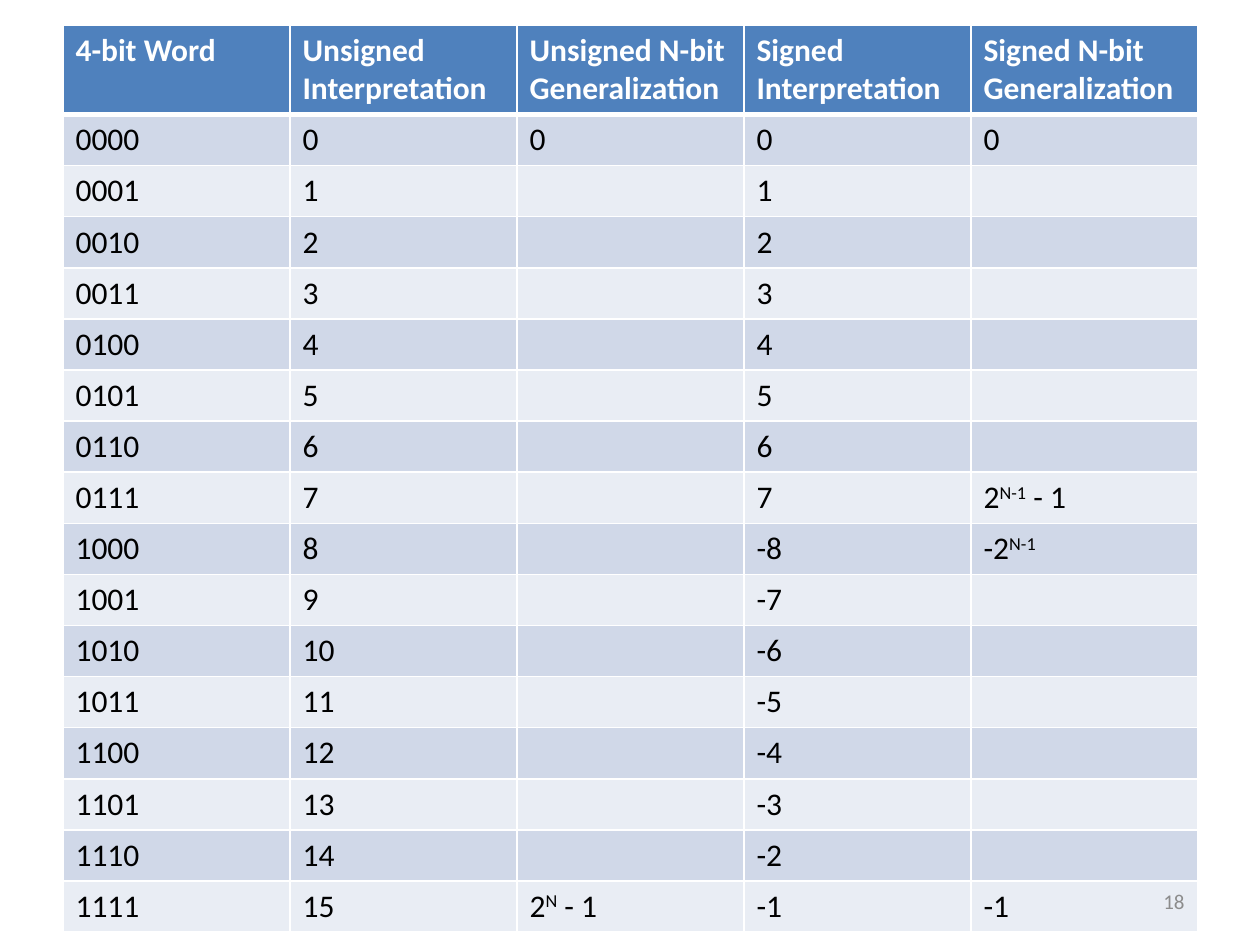
from lxml.etree import SubElement
from pptx import Presentation
from pptx.dml.color import RGBColor
from pptx.enum.text import MSO_ANCHOR, PP_ALIGN
from pptx.oxml import parse_xml
from pptx.oxml.ns import nsdecls, qn
from pptx.util import Emu, Pt

HEADERS = [
    "4-bit Word",
    "Unsigned Interpretation",
    "Unsigned N-bit Generalization",
    "Signed Interpretation",
    "Signed N-bit Generalization",
]
BITS = 4
# Text between carets is superscript.
UNSIGNED_GENERAL = {0: "0", 15: "2^N^ - 1"}
SIGNED_GENERAL = {0: "0", 7: "2^N-1^ - 1", 8: "-2^N-1^", 15: "-1"}
PAGE_NUMBER = "18"

COLORS = {
    "header": "4F81BD",
    "odd": "D0D8E8",
    "even": "E9EDF4",
    "white": "FFFFFF",
    "black": "000000",
    "gray": "8C8C8C",
}
FONT = "Calibri"
TABLE_LEFT, TABLE_TOP = 63, 25
COLUMN_WIDTH, HEADER_HEIGHT, ROW_HEIGHT = 227, 88, 51
THIN, THICK = 1, 3


def px(count):
    return Emu(round(count * 914400 / 126))


def color(name):
    return RGBColor.from_string(COLORS[name])


def word_row(number):
    """Return the five cell texts for one bit pattern."""
    signed = number - 2**BITS if number >= 2 ** (BITS - 1) else number
    return [
        f"{number:0{BITS}b}",
        str(number),
        UNSIGNED_GENERAL.get(number, ""),
        str(signed),
        SIGNED_GENERAL.get(number, ""),
    ]


def style(para, size, color_name, bold=False):
    para.font.name = FONT
    para.font.size = Pt(size)
    para.font.bold = bold
    para.font.color.rgb = color(color_name)


def add_spans(para, text):
    for index, part in enumerate(text.split("^")):
        if part:
            span = para.add_run()
            span.text = part
            if index % 2:
                span._r.get_or_add_rPr().set("baseline", "30000")


def set_borders(cell, top, bottom):
    """Draw white cell borders; widths are in points."""
    properties = cell._tc.get_or_add_tcPr()
    widths = {"lnL": THIN, "lnR": THIN, "lnT": top, "lnB": bottom}
    for index, (side, width) in enumerate(widths.items()):
        line = parse_xml(f'<a:{side} {nsdecls("a")} w="{Pt(width)}"/>')
        fill = SubElement(line, qn("a:solidFill"))
        SubElement(fill, qn("a:srgbClr"), val=COLORS["white"])
        properties.insert(index, line)


def add_word_table(page):
    rows = [HEADERS] + [word_row(number) for number in range(2**BITS)]
    heights = [HEADER_HEIGHT] + [ROW_HEIGHT] * 2**BITS
    table = page.shapes.add_table(
        len(rows), len(HEADERS), px(TABLE_LEFT), px(TABLE_TOP),
        px(COLUMN_WIDTH * len(HEADERS)), px(sum(heights)),
    ).table
    for column in table.columns:
        column.width = px(COLUMN_WIDTH)
    for row_index, texts in enumerate(rows):
        table.rows[row_index].height = px(heights[row_index])
        is_header = row_index == 0
        fill_name = "header" if is_header else "odd" if row_index % 2 else "even"
        for column_index, text in enumerate(texts):
            cell = table.cell(row_index, column_index)
            cell.fill.solid()
            cell.fill.fore_color.rgb = color(fill_name)
            set_borders(cell, THICK if row_index == 1 else THIN,
                        THICK if is_header else THIN)
            para = cell.text_frame.paragraphs[0]
            style(para, 18, "white" if is_header else "black", is_header)
            add_spans(para, text)


def add_page_number(page):
    box = page.shapes.add_textbox(px(903), px(876), px(294), px(50))
    frame = box.text_frame
    frame.word_wrap = True
    frame.vertical_anchor = MSO_ANCHOR.MIDDLE
    para = frame.paragraphs[0]
    para.alignment = PP_ALIGN.RIGHT
    style(para, 12, "gray")
    add_spans(para, PAGE_NUMBER)


def main():
    deck = Presentation()
    deck.slide_width, deck.slide_height = px(1260), px(945)
    page = deck.slides.add_slide(deck.slide_layouts[6])
    add_word_table(page)
    add_page_number(page)
    deck.save("out.pptx")


if __name__ == "__main__":
    main()
